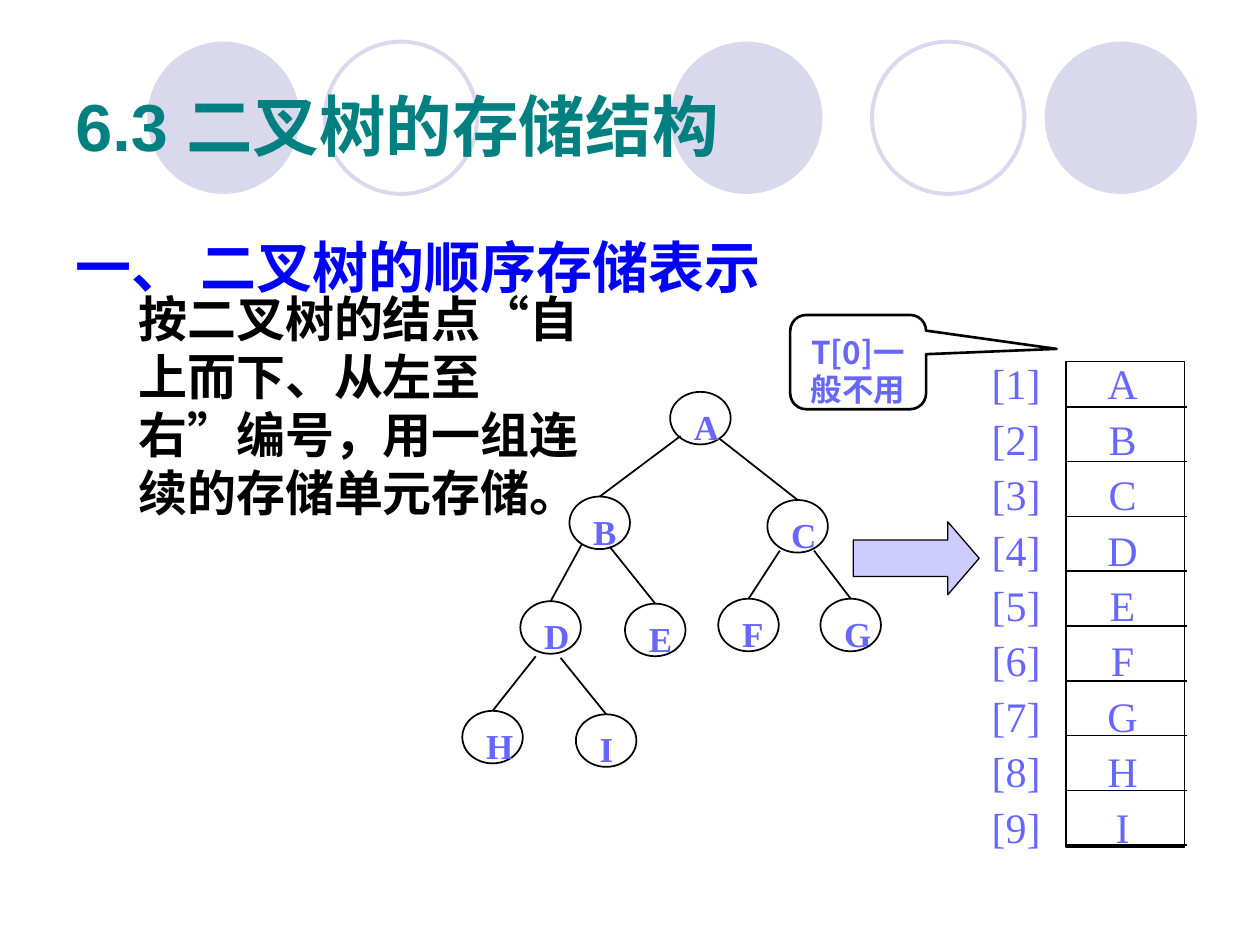
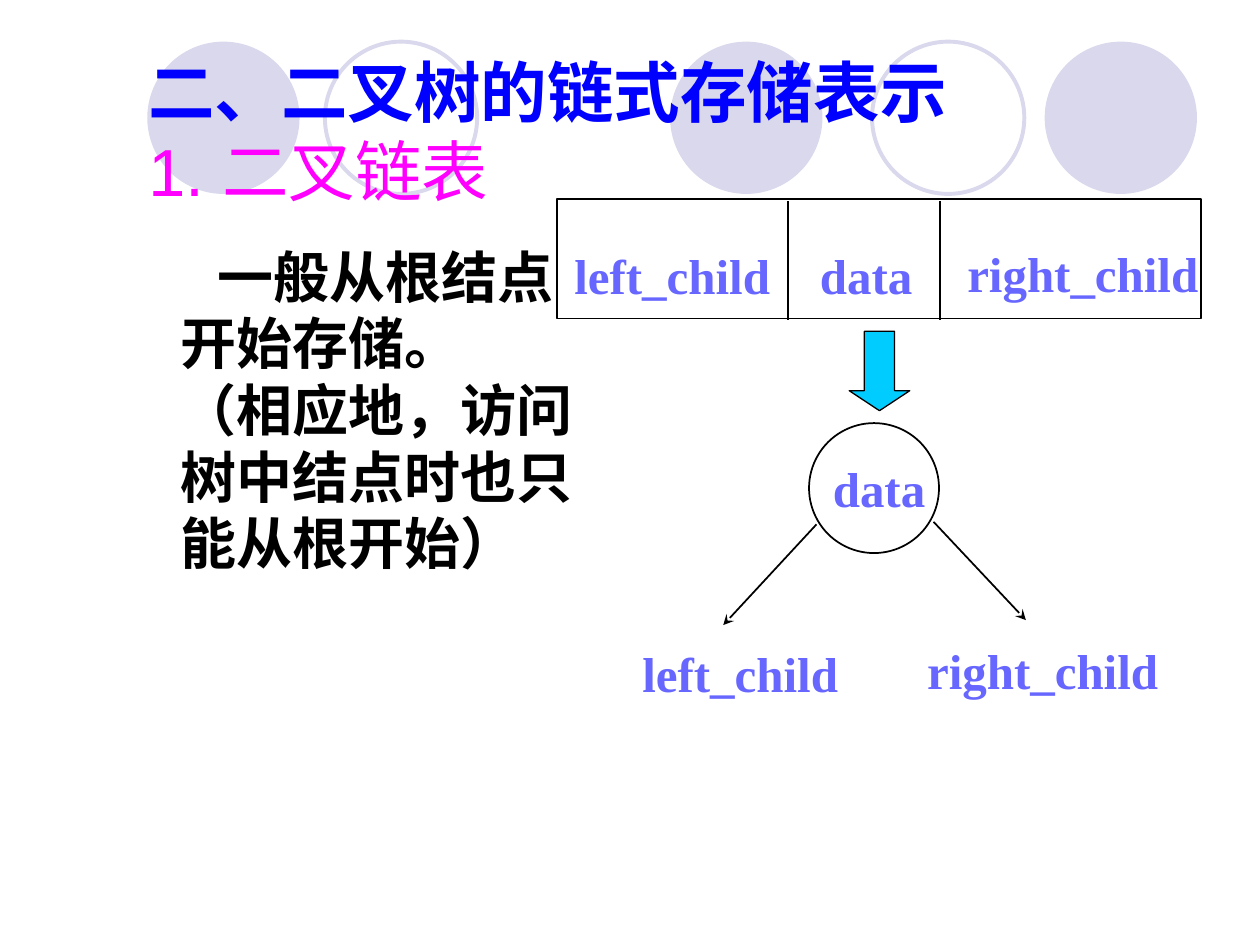
from dataclasses import dataclass
from typing import NamedTuple, Optional

from lxml.etree import SubElement
from pptx import Presentation
from pptx.dml.color import RGBColor
from pptx.enum.shapes import MSO_CONNECTOR as Connector, MSO_SHAPE as Preset
from pptx.enum.text import MSO_ANCHOR as Anchor, PP_ALIGN as Align
from pptx.oxml.ns import qn
from pptx.shapes.autoshape import Shape
from pptx.shapes.connector import Connector as Line
from pptx.slide import Slide
from pptx.text.text import TextFrame
from pptx.util import Cm, Pt


@dataclass(frozen=True)
class Theme:
    circle: str = "D9D8EC"
    title: str = "008080"
    heading: str = "0000FF"
    subheading: str = "FF00FF"
    ink: str = "000000"
    label: str = "6767FF"
    right_arrow: str = "CCCCFF"
    down_arrow: str = "00CCFF"
    sans: str = "Arial"
    chinese: str = "Noto Sans CJK SC"
    serif: str = "Times New Roman"
    title_size: int = 38
    heading_size: int = 32
    body_size: int = 28
    array_size: int = 24
    node_size: int = 20
    note_size: int = 18
    line_pitch: float = 1.19


THEME = Theme()


class Point(NamedTuple):
    x: float
    y: float


class Box(NamedTuple):
    """Left, top, width and height in centimetres."""
    left: float
    top: float
    width: float
    height: float

    def lengths(self) -> list[Cm]:
        return [Cm(value) for value in self]


class Circle(NamedTuple):
    left: float
    filled: bool


class TreeNode(NamedTuple):
    """A node, and the point where the edge from its parent starts."""
    name: str
    left: float
    top: float
    edge_start: Optional[Point] = None


class FieldLabel(NamedTuple):
    text: str
    left: float
    top: float
    width: float


CIRCLES = [
    Circle(13.51, True),
    Circle(21.06, True),
    Circle(2.97, True),
    Circle(17.58, False),
    Circle(6.55, False),
]

TREE = [
    TreeNode("A", 13.51, 7.9),
    TreeNode("B", 11.48, 10.01, Point(13.72, 8.79)),
    TreeNode("C", 15.47, 10.08, Point(14.5, 8.84)),
    TreeNode("D", 10.49, 12.12, Point(11.73, 10.97)),
    TreeNode("E", 12.6, 12.17, Point(12.29, 11.02)),
    TreeNode("F", 14.48, 12.07, Point(15.72, 11.1)),
    TreeNode("G", 16.54, 12.07, Point(16.41, 11.1)),
    TreeNode("H", 9.32, 14.33, Point(10.8, 13.23)),
    TreeNode("I", 11.61, 14.4, Point(11.3, 13.26)),
]

FIELD_LABELS = [
    FieldLabel("data", 16.28, 4.83, 2.39),
    FieldLabel("left_child", 11.33, 4.83, 4.47),
    FieldLabel("right_child", 19.25, 4.78, 5.18),
    FieldLabel("data", 16.54, 9.12, 2.39),
    FieldLabel("left_child", 12.7, 12.85, 4.47),
    FieldLabel("right_child", 18.44, 12.78, 5.18),
]


def add_frame(slide: Slide, box: Box, anchor: Anchor = Anchor.TOP,
              wrap: bool = True) -> TextFrame:
    frame = slide.shapes.add_textbox(*box.lengths()).text_frame
    frame.word_wrap = wrap
    frame.vertical_anchor = anchor
    return frame


def write(frame: TextFrame, text: str, *, size: int, color: str,
          font: str = THEME.chinese, bold: bool = True,
          align: Align = Align.LEFT, spacing: Optional[float | Pt] = None,
          first_indent: float = 0) -> None:
    """Add one paragraph, filling the empty first one if there is one."""
    paragraph = frame.paragraphs[0] if not frame.text else frame.add_paragraph()
    paragraph.text = text
    paragraph.alignment = align
    paragraph.line_spacing = spacing
    if first_indent:
        paragraph._p.get_or_add_pPr().set("indent", str(Cm(first_indent)))
    for run in paragraph.runs:
        run.font.size = Pt(size)
        run.font.bold = bold
        run.font.color.rgb = RGBColor.from_string(color)
        run.font.name = font
        SubElement(run._r.rPr, qn("a:ea"), typeface=THEME.chinese)


def chinese_pitch(size: int) -> Pt:
    return Pt(round(size * THEME.line_pitch, 1))


def add_preset(slide: Slide, preset: Preset, box: Box, *,
               fill: Optional[str] = None, line: Optional[str] = THEME.ink,
               width: float = 1, adjust: tuple[float, ...] = ()) -> Shape:
    shape = slide.shapes.add_shape(preset, *box.lengths())
    shape.shadow.inherit = False
    if fill:
        shape.fill.solid()
        shape.fill.fore_color.rgb = RGBColor.from_string(fill)
    else:
        shape.fill.background()
    if line:
        shape.line.color.rgb = RGBColor.from_string(line)
        shape.line.width = Pt(width)
    else:
        shape.line.fill.background()
    for index, value in enumerate(adjust):
        shape.adjustments[index] = value
    return shape


def add_line(slide: Slide, start: Point, end: Point,
             arrow: bool = False) -> Line:
    line = slide.shapes.add_connector(
        Connector.STRAIGHT, *(Cm(value) for value in (*start, *end)))
    line.line.color.rgb = RGBColor.from_string(THEME.ink)
    line.line.width = Pt(1)
    if arrow:
        SubElement(line.line._get_or_add_ln(), qn("a:tailEnd"), type="stealth")
    SubElement(line._element.spPr, qn("a:effectLst"))
    return line


def add_slide(presentation: Presentation) -> Slide:
    """Add a blank slide with the row of circles behind the title."""
    slide = presentation.slides.add_slide(presentation.slide_layouts[6])
    for circle in CIRCLES:
        add_preset(slide, Preset.OVAL, Box(circle.left, 0.84, 3.07, 3.07),
                   fill=THEME.circle if circle.filled else None,
                   line=None if circle.filled else THEME.circle, width=2.25)
    return slide


def draw_array(slide: Slide) -> None:
    letters = add_frame(slide, Box(22.07, 6.99, 1.12, 10.31), wrap=False)
    add_preset(slide, Preset.RECTANGLE, Box(21.49, 7.29, 2.39, 9.78))
    indices = add_frame(slide, Box(19.74, 6.99, 1.5, 10.31), wrap=False)
    first_rule, last_rule = 8.2, 17.04
    pitch = (last_rule - first_rule) / (len(TREE) - 1)
    array_style = dict(size=THEME.array_size, color=THEME.label,
                       font=THEME.serif, bold=False, spacing=1.1)
    for row, node in enumerate(TREE):
        write(letters, node.name, align=Align.CENTER, **array_style)
        write(indices, f"[{row + 1}]", **array_style)
        y = first_rule + row * pitch
        add_line(slide, Point(21.51, y), Point(23.93, y))


def draw_tree(slide: Slide) -> None:
    width, height = 1.22, 1.06
    for node in TREE:
        oval = add_preset(slide, Preset.OVAL,
                          Box(node.left, node.top, width, height))
        label = add_frame(
            slide, Box(node.left + 0.23, node.top + 0.15, 1.07, 1.09))
        write(label, node.name, size=THEME.node_size, color=THEME.label,
              font=THEME.serif)
        if node.edge_start:
            top_centre = Point(node.left + width / 2, node.top)
            add_line(slide, node.edge_start, top_centre).end_connect(oval, 0)


def build_sequential_storage(presentation: Presentation) -> None:
    slide = add_slide(presentation)
    title = add_frame(slide, Box(1.27, 0.94, 22.86, 3.18), Anchor.MIDDLE)
    write(title, "6.3 二叉树的存储结构", size=THEME.title_size,
          color=THEME.title, font=THEME.sans,
          spacing=chinese_pitch(THEME.title_size))
    heading = add_frame(slide, Box(1.27, 4.57, 22.86, 12.57))
    write(heading, "一、 二叉树的顺序存储表示", size=THEME.heading_size,
          color=THEME.heading, font=THEME.sans,
          spacing=chinese_pitch(THEME.heading_size))
    body = add_frame(slide, Box(2.54, 5.63, 10.16, 5.08), Anchor.MIDDLE)
    write(body, "按二叉树的结点“自上而下、从左至右”编号，用一组连续的存储单元存储。",
          size=THEME.body_size, color=THEME.ink,
          spacing=chinese_pitch(THEME.body_size))
    draw_array(slide)
    draw_tree(slide)
    add_preset(slide, Preset.RIGHT_ARROW, Box(17.2, 10.52, 2.54, 1.47),
               fill=THEME.right_arrow, width=0.75, adjust=(0.5, 0.43))
    callout = add_preset(slide, Preset.ROUNDED_RECTANGULAR_CALLOUT,
                         Box(15.93, 6.35, 2.74, 1.9), width=1.5,
                         adjust=(1.46, -0.14, 0.17))
    note = callout.text_frame
    note.word_wrap = True
    note.vertical_anchor = Anchor.TOP
    note.margin_top = Cm(0.27)
    write(note, "T[0]一般不用", size=THEME.note_size, color=THEME.label,
          align=Align.CENTER, spacing=chinese_pitch(THEME.note_size))


def build_linked_storage(presentation: Presentation) -> None:
    slide = add_slide(presentation)
    title = add_frame(slide, Box(2.74, 2.46, 21.59, 1.9), Anchor.BOTTOM)
    title_style = dict(size=THEME.title_size, font=THEME.sans,
                       spacing=chinese_pitch(THEME.title_size))
    write(title, "二、二叉树的链式存储表示", color=THEME.heading, **title_style)
    write(title, "1. 二叉链表", color=THEME.subheading, bold=False, **title_style)
    body = add_frame(slide, Box(3.38, 4.77, 8.46, 7.04))
    write(body, "一般从根结点开始存储。\n（相应地，访问树中结点时也只能从根开始）",
          size=THEME.heading_size, color=THEME.ink, first_indent=0.76,
          spacing=chinese_pitch(THEME.heading_size))

    add_preset(slide, Preset.RECTANGLE, Box(11.23, 4.01, 12.98, 2.41))
    for x in (15.88, 18.95):
        add_line(slide, Point(x, 4.06), Point(x, 6.45))
    add_preset(slide, Preset.OVAL, Box(16.31, 8.53, 2.62, 2.62))
    for field in FIELD_LABELS:
        label = add_frame(
            slide, Box(field.left, field.top, field.width, 1.45), wrap=False)
        write(label, field.text, size=THEME.body_size, color=THEME.label,
              font=THEME.serif)
    add_line(slide, Point(16.46, 10.57), Point(14.58, 12.6), arrow=True)
    add_line(slide, Point(18.82, 10.52), Point(20.68, 12.5), arrow=True)
    add_preset(slide, Preset.DOWN_ARROW, Box(17.12, 6.68, 1.22, 1.6),
               fill=THEME.down_arrow, width=0.75, adjust=(0.5, 0.33))


def main() -> None:
    presentation = Presentation()
    presentation.slide_width = Cm(25.4)
    presentation.slide_height = Cm(19.05)
    build_sequential_storage(presentation)
    build_linked_storage(presentation)
    presentation.save("out.pptx")


if __name__ == "__main__":
    main()
